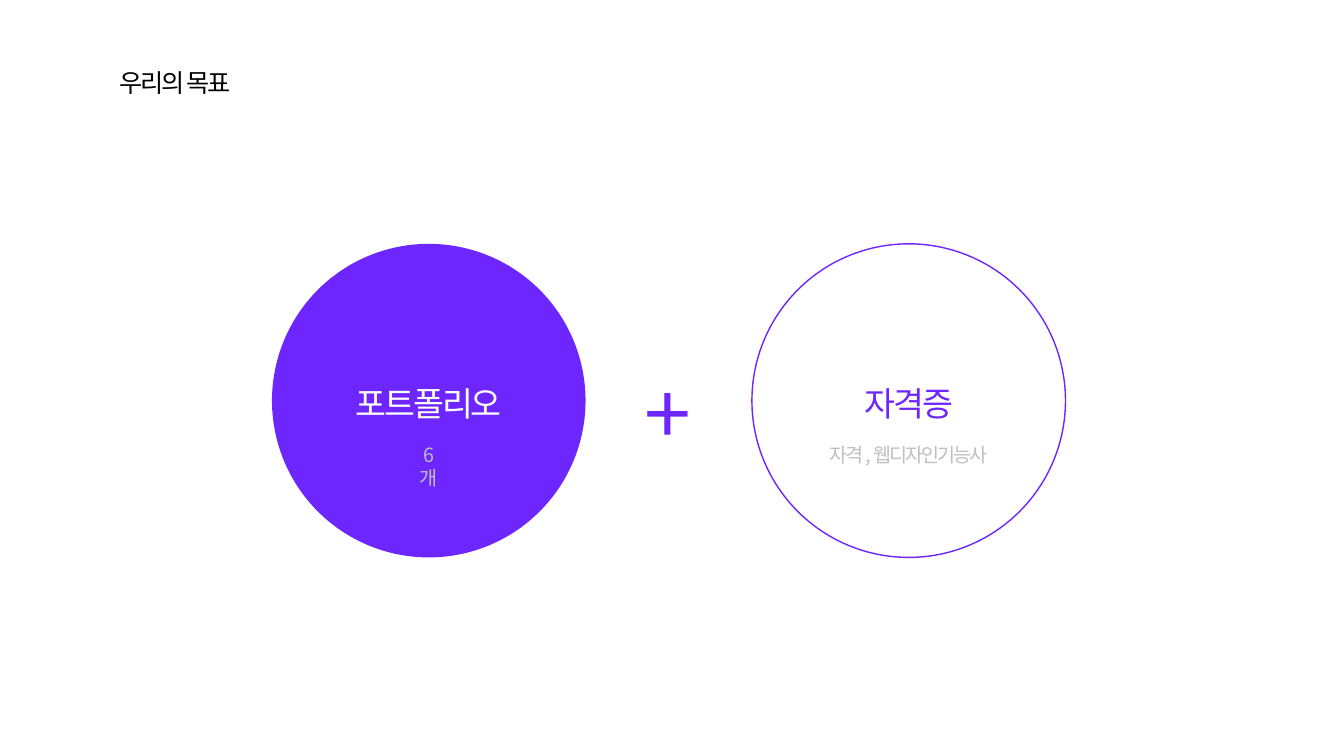
from pptx import Presentation
from pptx.dml.color import RGBColor
from pptx.enum.shapes import MSO_SHAPE
from pptx.enum.text import MSO_AUTO_SIZE, PP_ALIGN
from pptx.oxml.ns import qn
from pptx.util import Pt
from lxml.etree import SubElement

VIOLET = RGBColor(0x6E, 0x26, 0xFE)
WHITE = RGBColor(0xFF, 0xFF, 0xFF)
BLACK = RGBColor(0, 0, 0)
GRAY = RGBColor(0xBF, 0xBF, 0xBF)
LATO = "Lato"
NOTO = "Noto Sans CJK KR"

HEADING = "우리의 목표"
GOALS = [
    dict(title="포트폴리오", title_width=124, title_color=WHITE,
         detail="6개", detail_width=33, wrap=True, filled=True),
    dict(title="자격증", title_width=80, title_color=VIOLET,
         detail="자격 , 웹디자인기능사", detail_width=134.6, wrap=False, filled=False),
]

MIDDLE = 477.7
SPREAD = 342.8
DIAMETER = 224
CIRCLE_TOP = 174.2

deck = Presentation()
deck.slide_width, deck.slide_height = Pt(960), Pt(540)
slide = deck.slides.add_slide(deck.slide_layouts[6])


def write(text, left, top, width, height, size, color, font=LATO,
          align=PP_ALIGN.CENTER, spacing=-1.5, wrap=False):
    box = slide.shapes.add_textbox(Pt(left), Pt(top), Pt(width), Pt(height))
    frame = box.text_frame
    frame.word_wrap = wrap
    frame.auto_size = MSO_AUTO_SIZE.SHAPE_TO_FIT_TEXT
    paragraph = frame.paragraphs[0]
    paragraph.alignment = align
    run = paragraph.add_run()
    run.text = text
    run.font.size = Pt(size)
    run.font.color.rgb = color
    run.font.name = font
    properties = run.font._element
    properties.set("spc", str(int(spacing * 100)))
    SubElement(properties, qn("a:ea")).set("typeface", NOTO)


def draw_circle(center, filled):
    circle = slide.shapes.add_shape(
        MSO_SHAPE.OVAL, Pt(center - DIAMETER / 2), Pt(CIRCLE_TOP), Pt(DIAMETER), Pt(DIAMETER))
    circle.shadow.inherit = False
    if filled:
        circle.fill.solid()
        circle.fill.fore_color.rgb = VIOLET
        circle.line.fill.background()
    else:
        circle.fill.background()
        circle.line.color.rgb = VIOLET
        circle.line.width = Pt(1)


write(HEADING, 78.5, 44.6, 98, 29, 18, BLACK, align=PP_ALIGN.LEFT)

for index, goal in enumerate(GOALS):
    center = MIDDLE + (index - 0.5) * SPREAD
    draw_circle(center, goal["filled"])
    write(goal["title"], center - goal["title_width"] / 2, 270, goal["title_width"], 36,
          24, goal["title_color"])
    write(goal["detail"], center - goal["detail_width"] / 2, 312.5, goal["detail_width"], 24.5,
          14, GRAY, font=NOTO, wrap=goal["wrap"])

write("+", MIDDLE - 25.4, 252.7, 50.4, 80, 60, VIOLET, align=PP_ALIGN.LEFT, spacing=0)

deck.save("out.pptx")
